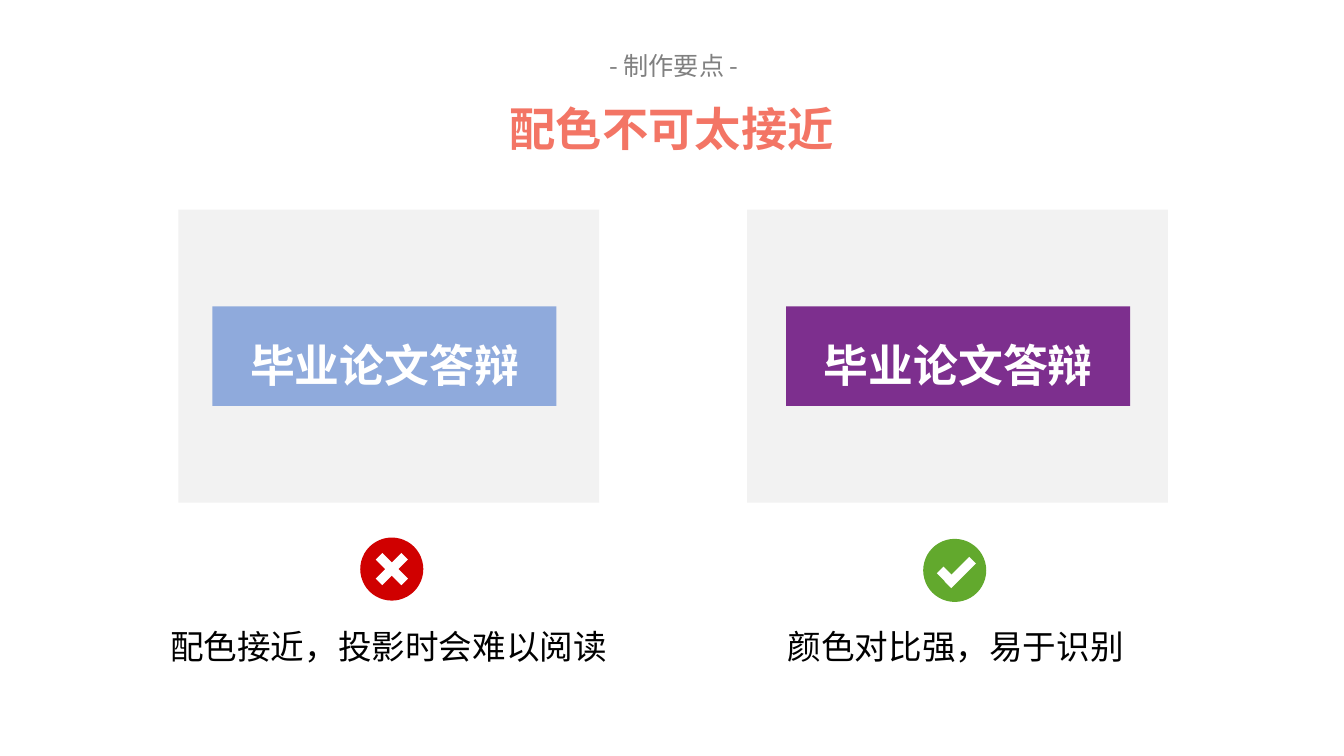
"""Build a slide comparing weak and strong colour contrast."""
from lxml.etree import SubElement
from pptx import Presentation
from pptx.dml.color import RGBColor as Rgb
from pptx.enum.shapes import MSO_SHAPE as Shape
from pptx.enum.text import MSO_ANCHOR as Anchor, PP_ALIGN as Align
from pptx.oxml.ns import qn
from pptx.util import Pt

COLORS = {
    "white": "FFFFFF", "black": "000000", "grey": "808080", "coral": "F37565",
    "panel": "F2F2F2", "blue": "8FAADC", "purple": "7D2F8E",
    "red": "D00000", "green": "62A92D",
}
CJK = "Noto Sans CJK SC"
LATIN = "Calibri"

HEADINGS = [
    ("配色不可太接近", (212.4, 49.7, 295.2, 37.4), 24.8, "coral", True),
    ("- 制作要点 -", (306, 23, 110.2, 23.8), 13.5, "grey", False),
]
SAMPLE = "毕业论文答辩"
EXAMPLES = [
    {
        "panel": 95.6, "banner": 113.8, "color": "blue",
        "caption": "配色接近，投影时会难以阅读", "caption_span": (67.7, 280.8),
        "badge": (193, 288, "red"),
        "strokes": [(207.4, 295.2, 19.4, 45), (207.4, 295.2, 19.4, 135)],
    },
    {
        "panel": 400.3, "banner": 421.2, "color": "purple",
        "caption": "颜色对比强，易于识别", "caption_span": (376.6, 270.7),
        "badge": (494.6, 288.7, "green"),
        "strokes": [(511.9, 297.4, 18.7, 45), (504.7, 303.8, 10.1, 135)],
    },
]
PANEL_TOP, PANEL_SIZE = 112.3, (225.4, 157)
BANNER_TOP, BANNER_SIZE = 164.2, (184.3, 53.3)
SAMPLE_TOP, SAMPLE_HEIGHT, SAMPLE_OVERHANG = 177.1, 36, 7.9
CAPTION_TOP, CAPTION_HEIGHT = 328.3, 31.7
BADGE_SIZE, STROKE_WIDTH = 33.8, 5


def add_block(shapes, kind, place, color, angle=0):
    block = shapes.add_shape(kind, *map(Pt, place))
    block.fill.solid()
    block.fill.fore_color.rgb = Rgb.from_string(COLORS[color])
    block.line.fill.background()
    block.shadow.inherit = False
    block.rotation = angle
    return block


def write(box, text, size, color, bold=False, font=CJK, spacing=None):
    frame = box.text_frame
    frame.word_wrap = True
    frame.vertical_anchor = Anchor.MIDDLE
    frame.margin_left = frame.margin_right = 0
    frame.margin_top = frame.margin_bottom = 0
    para = frame.paragraphs[0]
    para.alignment = Align.CENTER
    if spacing:
        para.line_spacing = spacing
    span = para.add_run()
    span.text = text
    span.font.size = Pt(size)
    span.font.bold = bold
    span.font.name = font
    span.font.color.rgb = Rgb.from_string(COLORS[color])
    SubElement(span.font._element, qn("a:ea"), typeface=CJK)


def add_example(shapes, example):
    left, top, color = example["badge"]
    badge = shapes.add_group_shape().shapes
    add_block(badge, Shape.OVAL, (left, top, BADGE_SIZE, BADGE_SIZE), color)
    for x, y, length, angle in example["strokes"]:
        add_block(badge, Shape.RECTANGLE, (x, y, STROKE_WIDTH, length), "white", angle)

    left, width = example["caption_span"]
    caption = shapes.add_textbox(*map(Pt, (left, CAPTION_TOP, width, CAPTION_HEIGHT)))
    write(caption, example["caption"], 18, "black", spacing=1.2)

    card = shapes.add_group_shape().shapes
    banner = example["banner"]
    add_block(card, Shape.RECTANGLE, (example["panel"], PANEL_TOP, *PANEL_SIZE), "panel")
    add_block(card, Shape.RECTANGLE, (banner, BANNER_TOP, *BANNER_SIZE), example["color"])
    place = (banner - SAMPLE_OVERHANG, SAMPLE_TOP,
             BANNER_SIZE[0] + 2 * SAMPLE_OVERHANG, SAMPLE_HEIGHT)
    sample = card.add_textbox(*map(Pt, place))
    write(sample, SAMPLE, 24, "white", bold=True, font=LATIN)


def main():
    deck = Presentation()
    deck.slide_width, deck.slide_height = Pt(720), Pt(405)
    page = deck.slides.add_slide(deck.slide_layouts[6])
    (title, title_place, *title_style), (label, label_place, *label_style) = HEADINGS
    write(add_block(page.shapes, Shape.RECTANGLE, title_place, "white"), title, *title_style)
    write(page.shapes.add_textbox(*map(Pt, label_place)), label, *label_style)
    for example in EXAMPLES:
        add_example(page.shapes, example)
    deck.save("out.pptx")


if __name__ == "__main__":
    main()
